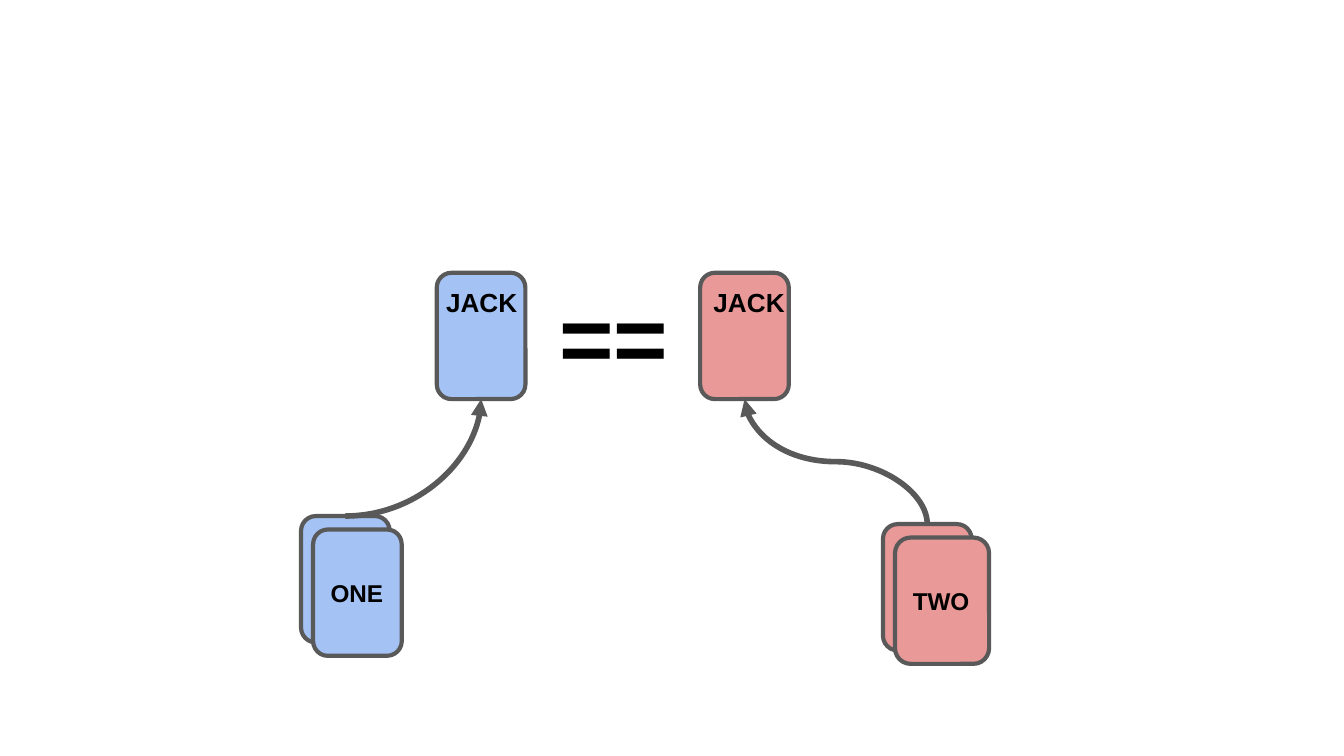
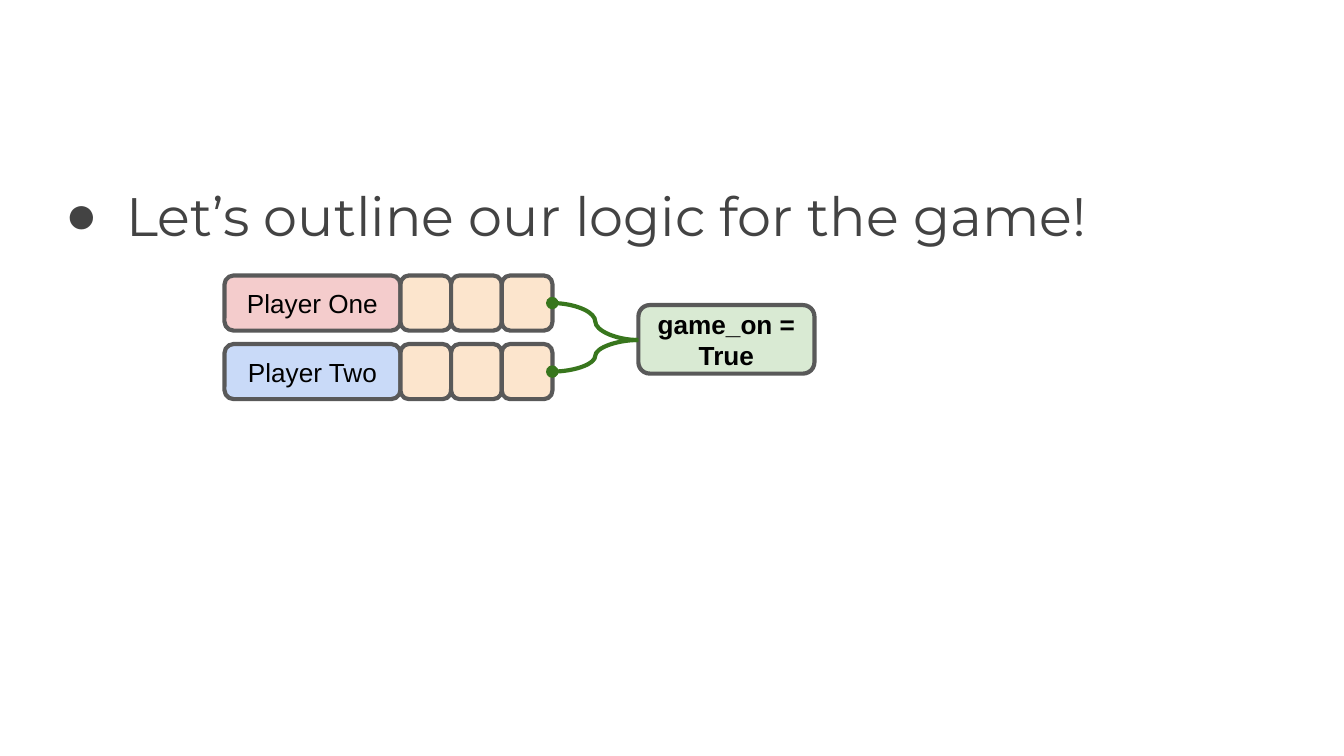
import pptx
import pptx.dml.color
import pptx.enum.shapes
import pptx.enum.text
import pptx.oxml
import pptx.oxml.ns
import pptx.util

Inches = pptx.util.Inches
Pt = pptx.util.Pt
RGBColor = pptx.dml.color.RGBColor
Align = pptx.enum.text.PP_ALIGN
Anchor = pptx.enum.text.MSO_ANCHOR

BLACK = RGBColor(0x00, 0x00, 0x00)
OUTLINE = RGBColor(0x59, 0x59, 0x59)
BODY_GREY = RGBColor(0x43, 0x43, 0x43)
CARD_BLUE = RGBColor(0xA4, 0xC2, 0xF4)
CARD_RED = RGBColor(0xEA, 0x99, 0x99)
PLAYER_PINK = RGBColor(0xF4, 0xCC, 0xCC)
PLAYER_BLUE = RGBColor(0xC9, 0xDA, 0xF8)
CARD_CREAM = RGBColor(0xFC, 0xE5, 0xCD)
STATE_GREEN = RGBColor(0xD9, 0xEA, 0xD3)
LINK_GREEN = RGBColor(0x38, 0x76, 0x1D)

CARD_WIDTH, CARD_HEIGHT = 0.66, 0.94
LABEL = {"name": "Arial", "size": Pt(14), "bold": False}
STRONG = {**LABEL, "bold": True}
DECK_LABEL = {**STRONG, "size": Pt(13)}
OPERATOR = {**STRONG, "size": Pt(50)}
BULLET_TEXT = {"name": "Montserrat", "size": Pt(29)}


def write_text(box, text, style, align=Align.LEFT, anchor=Anchor.TOP, color=BLACK):
    frame = box.text_frame
    frame_format = {
        "word_wrap": True,
        "auto_size": pptx.enum.text.MSO_AUTO_SIZE.NONE,
        "vertical_anchor": anchor,
    }
    for side in ("left", "top", "right", "bottom"):
        frame_format[f"margin_{side}"] = Inches(0.1)
    for name, value in frame_format.items():
        setattr(frame, name, value)
    para = frame.paragraphs[0]
    para.alignment = align
    span = para.add_run()
    span.text = text
    for name, value in style.items():
        setattr(span.font, name, value)
    span.font.color.rgb = color
    return para


def add_label(page, at, text, style, align=Align.LEFT):
    box = page.shapes.add_textbox(*map(Inches, at))
    write_text(box, text, style, align)


def add_card(page, at, fill, text="", style=LABEL, align=Align.CENTER):
    """Add an outlined rounded rectangle, with its label if there is one."""
    kind = pptx.enum.shapes.MSO_SHAPE.ROUNDED_RECTANGLE
    card = page.shapes.add_shape(kind, *map(Inches, at))
    card.shadow.inherit = False
    card.fill.solid()
    card.fill.fore_color.rgb = fill
    card.line.color.rgb = OUTLINE
    card.line.width = Pt(2.25)
    if text:
        write_text(card, text, style, align, Anchor.MIDDLE)


def add_curve(page, start, end, color, width, tip, bend="curvedConnector3", upright=False):
    """Add a curved connector; an upright one leaves its start vertically."""
    if upright:
        mid_x, mid_y = ((a + b) / 2 for a, b in zip(start, end))
        start, end = [(mid_x + y - mid_y, mid_y - x + mid_x) for x, y in (start, end)]
    kind = pptx.enum.shapes.MSO_CONNECTOR.CURVE
    curve = page.shapes.add_connector(kind, *map(Inches, (*start, *end)))
    curve.line.color.rgb = color
    curve.line.width = Pt(width)
    properties = curve._element.spPr
    properties.find(pptx.oxml.ns.qn("a:prstGeom")).set("prst", bend)
    if upright:
        properties.find(pptx.oxml.ns.qn("a:xfrm")).set("rot", str(90 * 60000))
    add_element(properties.find(pptx.oxml.ns.qn("a:ln")), "tailEnd", f'type="{tip}"')
    add_element(properties, "effectLst")


def add_element(parent, tag, attributes="", content=""):
    namespace = pptx.oxml.ns.nsdecls("a")
    xml = f"<a:{tag} {namespace} {attributes}>{content}</a:{tag}>"
    parent.append(pptx.oxml.parse_xml(xml))


def add_bullet(page, at, text):
    body = page.placeholders[1]
    for name, value in zip(("left", "top", "width", "height"), at):
        setattr(body, name, Inches(value))
    para = write_text(body, text, BULLET_TEXT, color=BODY_GREY)
    properties = para._p.get_or_add_pPr()
    properties.set("marL", str(Inches(0.5)))
    properties.set("indent", str(Inches(-0.45)))
    add_element(properties, "buClr", content=f'<a:srgbClr val="{BODY_GREY}"/>')
    add_element(properties, "buChar", 'char="●"')
    para.space_before = Pt(0)


def build_war_page(deck):
    page = deck.slides.add_slide(deck.slide_layouts[6])
    drawn_top = 2.03
    sides = (
        (CARD_BLUE, 3.25, 2.24, 3.84, CARD_WIDTH, "ONE"),
        (CARD_RED, 5.21, 6.57, 3.9, 0.7, "TWO"),
    )
    for fill, drawn_left, pile_left, pile_top, front_width, player in sides:
        add_card(page, (drawn_left, drawn_top, CARD_WIDTH, CARD_HEIGHT), fill)
        add_card(page, (pile_left, pile_top, CARD_WIDTH, CARD_HEIGHT), fill)
        front = (pile_left + 0.09, pile_top + 0.1, front_width, CARD_HEIGHT)
        add_card(page, front, fill, player, DECK_LABEL, Align.LEFT)
    for left in (3.22, 5.21):
        add_label(page, (left, drawn_top, 1.09, 0.48), "JACK", STRONG)
    drawn_bottom = drawn_top + CARD_HEIGHT
    add_curve(page, (2.57, 3.84), (3.58, drawn_bottom), OUTLINE, 3, "triangle",
              bend="curvedConnector2")
    add_curve(page, (6.9, 3.9), (5.54, drawn_bottom), OUTLINE, 3, "triangle", upright=True)
    add_label(page, (4.02, 1.98, 1.09, 0.48), "==", OPERATOR, Align.CENTER)


def build_logic_page(deck):
    page = deck.slides.add_slide(deck.slide_layouts[1])
    title = page.shapes.title._element
    title.getparent().remove(title)
    add_bullet(page, (0.34, 1.26, 9.5, 3.74), "Let’s outline our logic for the game!")

    left, label_width, height = 1.67, 1.31, 0.41
    slots_left, hand_right, slot_count = left + label_width, 4.11, 3
    slot_width = (hand_right - slots_left) / slot_count
    players = (("Player One", PLAYER_PINK, 2.05), ("Player Two", PLAYER_BLUE, 2.56))
    for player, fill, top in players:
        add_card(page, (left, top, label_width, height), fill, player)
        for slot in range(slot_count):
            slot_left = slots_left + slot * slot_width
            add_card(page, (slot_left, top, slot_width, height), CARD_CREAM)

    state_left = 4.75
    add_card(page, (state_left, 2.27, label_width, 0.51), STATE_GREEN, "game_on = True", STRONG)
    for _, _, top in players:
        add_curve(page, (state_left, 2.53), (hand_right, top + height / 2),
                  LINK_GREEN, 2.25, "oval")


def main():
    deck = pptx.Presentation()
    deck.slide_width = Inches(10)
    deck.slide_height = deck.slide_width * 9 // 16
    build_war_page(deck)
    build_logic_page(deck)
    deck.save("out.pptx")


if __name__ == "__main__":
    main()
